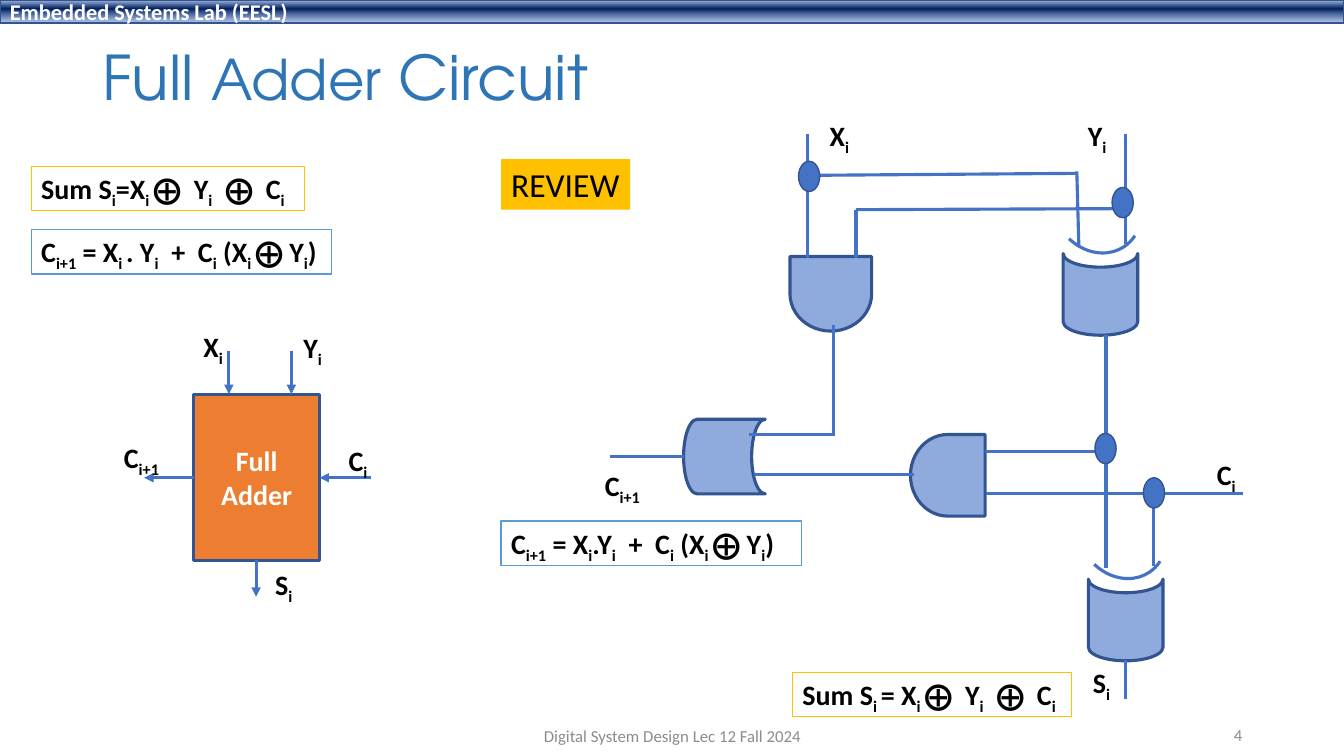
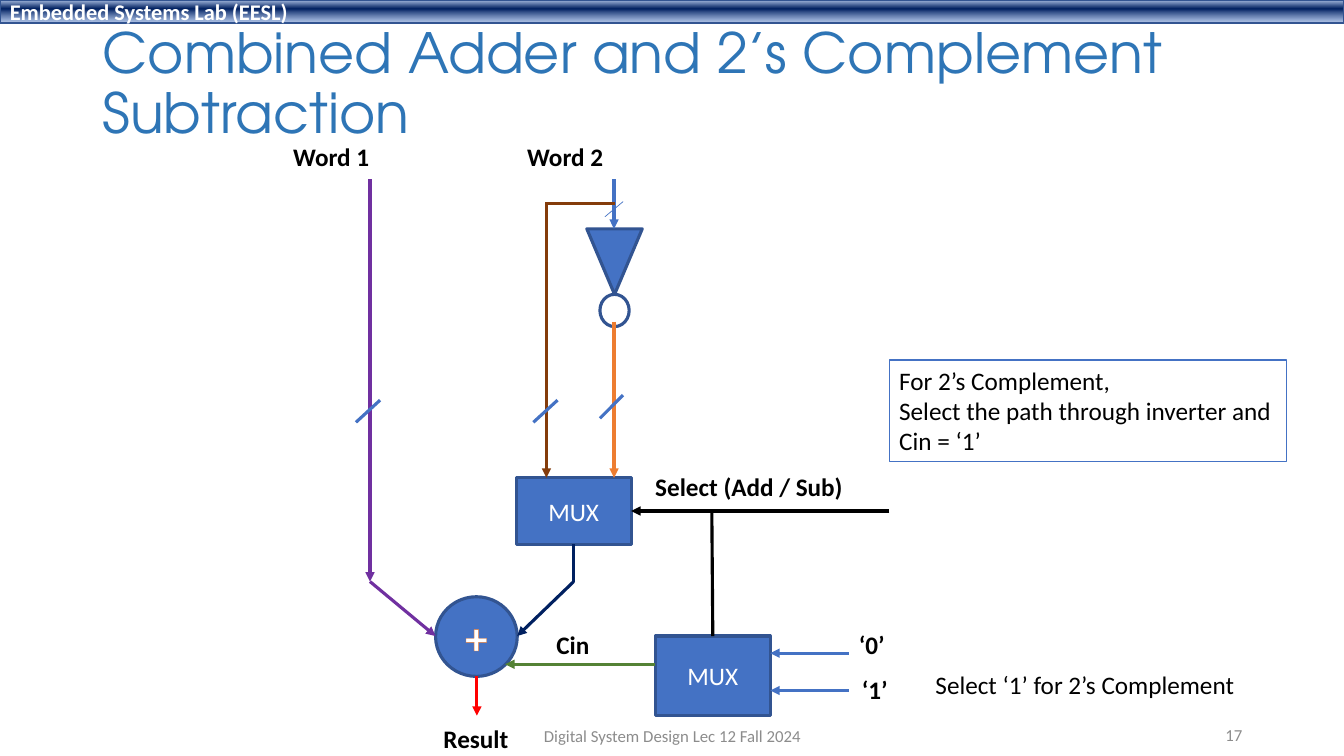
from dataclasses import dataclass
from typing import NamedTuple

import lxml.etree
import pptx
import pptx.dml.color
import pptx.enum.shapes
import pptx.enum.text
import pptx.oxml.ns
import pptx.shapes.autoshape
import pptx.shapes.shapetree
import pptx.slide
import pptx.util

EMU_PER_PX = 9144  # 100 px to the inch
SLIDE_WIDTH, SLIDE_HEIGHT = 1333, 750

Shapes = pptx.shapes.shapetree.SlideShapes | pptx.shapes.shapetree.GroupShapes
Shape = pptx.shapes.autoshape.Shape
Preset = pptx.enum.shapes.MSO_SHAPE
Align = pptx.enum.text.PP_ALIGN
Anchor = pptx.enum.text.MSO_ANCHOR
qn = pptx.oxml.ns.qn


@dataclass(frozen=True)
class Theme:
    font: str = "Calibri"
    title_font: str = "TeX Gyre Adventor"
    title: str = "2E75B6"
    black: str = "000000"
    white: str = "FFFFFF"
    grey: str = "8C8C8C"
    blue: str = "4472C4"
    light_blue: str = "5B9BD5"
    gate: str = "8FAADC"
    edge: str = "325491"
    gold: str = "FFC000"
    orange: str = "ED7D31"
    purple: str = "7030A0"
    brown: str = "843C0B"
    navy: str = "002060"
    green: str = "548235"
    red: str = "FF0000"
    band_stops: tuple = ((2, "ABC0E4", 100), (38, "002060", 100), (93, "7E9ED6", 64))
    title_size: float = 44
    title_small: float = 40
    title_long: float = 39.6
    plus_size: float = 32
    review_size: float = 24
    formula_size: float = 20
    body_size: float = 18
    band_size: float = 16
    footer_size: float = 12
    wide_gap: float = 4.5
    thick: float = 2.25
    thin: float = 1
    hairline: float = 0.5


THEME = Theme()


class Style(NamedTuple):
    size: float
    colour: str = THEME.black
    bold: bool = False
    align: Align = Align.LEFT
    font: str = THEME.font


FORMULA = Style(THEME.formula_size, bold=True)
BODY = Style(THEME.body_size)
LABEL = Style(THEME.body_size, bold=True)
BLOCK = Style(THEME.body_size, THEME.white, align=Align.CENTER)


class Box(NamedTuple):
    left: int
    top: int
    width: int
    height: int


class Label(NamedTuple):
    text: str
    box: Box


class Wire(NamedTuple):
    x1: int
    y1: int
    x2: int
    y2: int
    colour: str = THEME.blue
    arrow: bool = False
    weight: float = THEME.thick


def px(length: int) -> int:
    return pptx.util.Emu(length * EMU_PER_PX)


def rgb(colour: str) -> pptx.dml.color.RGBColor:
    return pptx.dml.color.RGBColor.from_string(colour)


def write(shape: Shape, text: str, style: Style, middle: bool = False,
          wrap: bool = True, grow: bool = False) -> None:
    """Fill a shape with text; _x_ is a subscript and ~ a widened space."""
    frame = shape.text_frame
    frame.word_wrap = wrap
    frame.vertical_anchor = Anchor.MIDDLE if middle else Anchor.TOP
    if grow:
        frame.auto_size = pptx.enum.text.MSO_AUTO_SIZE.SHAPE_TO_FIT_TEXT
    for index, line in enumerate(text.split("\n")):
        paragraph = frame.add_paragraph() if index else frame.paragraphs[0]
        paragraph.alignment = style.align
        font = paragraph.font
        font.name, font.size, font.bold = style.font, pptx.util.Pt(style.size), style.bold
        font.color.rgb = rgb(style.colour)
        for part_index, part in enumerate(line.split("_")):
            for piece in filter(None, part.replace("~", "|~|").split("|")):
                run = paragraph.add_run()
                run.text = piece.replace("~", " ")
                if part_index % 2:
                    run.font._element.set("baseline", "-25000")
                if piece == "~":
                    run.font._element.set("spc", str(int(THEME.wide_gap * 100)))


def add_preset(shapes: Shapes, preset: Preset, box: Box, fill: str | None = None,
               line: str | None = THEME.edge, weight: float = THEME.thick,
               rotation: float = 0) -> Shape:
    shape = shapes.add_shape(preset, *map(px, box))
    shape.shadow.inherit = False
    shape.rotation = rotation
    if fill:
        shape.fill.solid()
        shape.fill.fore_color.rgb = rgb(fill)
    else:
        shape.fill.background()
    if line:
        shape.line.color.rgb = rgb(line)
        shape.line.width = pptx.util.Pt(weight)
    else:
        shape.line.fill.background()
    return shape


def add_text(shapes: Shapes, label: Label, style: Style, middle: bool = False,
             wrap: bool = False, grow: bool = True) -> None:
    write(shapes.add_textbox(*map(px, label.box)), label.text, style, middle, wrap, grow)


def add_framed_text(shapes: Shapes, label: Label, style: Style, line: str) -> None:
    shape = add_preset(shapes, Preset.RECTANGLE, label.box, THEME.white, line, THEME.thin)
    write(shape, label.text, style, wrap=False, grow=True)


def add_block(shapes: Shapes, label: Label, style: Style = BLOCK, fill: str = THEME.blue,
              preset: Preset = Preset.RECTANGLE) -> Shape:
    shape = add_preset(shapes, preset, label.box, fill)
    write(shape, label.text, style, middle=True)
    return shape


def add_wire(shapes: Shapes, wire: Wire) -> None:
    connector = shapes.add_connector(
        pptx.enum.shapes.MSO_CONNECTOR.STRAIGHT, *map(px, wire[:4]))
    connector.line.color.rgb = rgb(wire.colour)
    connector.line.width = pptx.util.Pt(wire.weight)
    properties = connector._element.spPr
    lxml.etree.SubElement(properties, qn("a:effectLst"))
    if wire.arrow:
        lxml.etree.SubElement(properties.find(qn("a:ln")), qn("a:tailEnd"), type="triangle")


def add_xor_gate(shapes: Shapes, left: int, top: int) -> None:
    """Draw a gate that points down, with the second input curve above it."""
    add_preset(shapes, Preset.FLOWCHART_STORED_DATA, Box(left, top, 81, 74),
               THEME.gate, rotation=270)
    arc = add_preset(shapes, Preset.ARC, Box(left - 6, top - 101, 85, 99),
                     line=THEME.blue, rotation=146.4)
    arc.adjustments[0], arc.adjustments[1] = 151.27, 205.69


def add_band(shapes: Shapes) -> None:
    band = add_preset(shapes, Preset.RECTANGLE, Box(0, 0, SLIDE_WIDTH, 23), weight=THEME.thin)
    band.fill.gradient()
    gradient = band._element.spPr.find(qn("a:gradFill"))
    stops = gradient.find(qn("a:gsLst"))
    for stop in list(stops):
        stops.remove(stop)
    for position, colour, alpha in THEME.band_stops:
        stop = lxml.etree.SubElement(stops, qn("a:gs"), pos=str(position * 1000))
        value = lxml.etree.SubElement(stop, qn("a:srgbClr"), val=colour)
        if alpha < 100:
            lxml.etree.SubElement(value, qn("a:alpha"), val=str(alpha * 1000))
    gradient.find(qn("a:lin")).set("ang", str(90 * 60000))
    write(band, "Embedded Systems Lab (EESL)",
          Style(THEME.band_size, THEME.white, True), middle=True)


def start_slide(presentation: pptx.presentation.Presentation, number: int,
                title_runs: dict[str, float], title_height: int) -> pptx.slide.Slide:
    """Add a blank slide with the band, footers and a title given as text and size."""
    slide = presentation.slides.add_slide(presentation.slide_layouts[6])
    add_band(slide.shapes)
    title = slide.shapes.add_textbox(*map(px, Box(92, 40, 1150, title_height)))
    write(title, "", Style(THEME.title_size, THEME.title, font=THEME.title_font), middle=True)
    paragraph = title.text_frame.paragraphs[0]
    paragraph.line_spacing = 0.9
    for text, size in title_runs.items():
        run = paragraph.add_run()
        run.text, run.font.size = text, pptx.util.Pt(size)
    for label, align in (
        (Label("Digital System Design Lec 12 Fall 2024", Box(442, 710, 450, 40)), Align.CENTER),
        (Label(str(number), Box(942, 709, 300, 40)), Align.RIGHT),
    ):
        add_text(slide.shapes, label, Style(THEME.footer_size, THEME.grey, align=align),
                 middle=True, wrap=True, grow=False)
    return slide


def draw_adder_gates(shapes: Shapes) -> None:
    for preset, box, rotation in (
        (Preset.FLOWCHART_DELAY, Box(787, 251, 74, 81), 90),
        (Preset.FLOWCHART_STORED_DATA, Box(678, 416, 81, 74), 0),
        (Preset.FLOWCHART_DELAY, Box(903, 431, 74, 81), 180),
    ):
        add_preset(shapes, preset, box, THEME.gate, rotation=rotation)
    for left, top in ((1051, 255), (1076, 578)):
        add_xor_gate(shapes, left, top)
    for wire in (
        Wire(801, 256, 801, 133), Wire(849, 256, 849, 208),
        Wire(1070, 244, 1068, 170), Wire(1116, 242, 1116, 133),
        Wire(1097, 564, 1097, 332), Wire(1144, 562, 1144, 490),
        Wire(977, 448, 1097, 448), Wire(978, 490, 1233, 490),
        Wire(748, 471, 907, 471), Wire(743, 431, 828, 431),
        Wire(827, 431, 827, 322), Wire(849, 208, 1117, 207),
        Wire(800, 174, 1069, 172), Wire(678, 453, 605, 453),
        Wire(1116, 655, 1116, 693),
    ):
        add_wire(shapes, wire)
    for left, top in ((1086, 430), (792, 160), (1103, 186), (1134, 474)):
        add_preset(shapes, Preset.OVAL, Box(left, top, 21, 30), THEME.blue, weight=THEME.thin)
    for label in (
        Label("C_i+1_", Box(590, 460, 58, 44)), Label("X_i_", Box(813, 113, 40, 44)),
        Label("Y_i_", Box(1069, 113, 39, 44)), Label("C_i_", Box(1197, 449, 40, 44)),
        Label("S_i_", Box(1074, 655, 38, 44)),
    ):
        add_text(shapes, label, FORMULA)


def draw_adder_block(shapes: Shapes) -> None:
    add_block(shapes, Label("Full\nAdder", Box(192, 391, 125, 165)),
              Style(THEME.formula_size, THEME.white, True, Align.CENTER), THEME.orange)
    for ends in ((227, 348, 227, 391), (289, 348, 289, 391), (368, 474, 317, 474),
                 (254, 556, 254, 592), (192, 474, 143, 474)):
        add_wire(shapes, Wire(*ends, arrow=True))
    for label in (
        Label("X_i_", Box(192, 322, 40, 44)), Label("Y_i_", Box(291, 323, 39, 44)),
        Label("C_i_", Box(336, 435, 40, 44)), Label("S_i_", Box(263, 558, 38, 44)),
        Label("C_i+1_", Box(113, 432, 58, 44)),
    ):
        add_text(shapes, label, FORMULA)


def build_full_adder(presentation: pptx.presentation.Presentation) -> None:
    title_runs = {"Full ": THEME.title_size, "Adder": THEME.title_small,
                  " Circuit": THEME.title_size}
    slide = start_slide(presentation, 4, title_runs, 80)
    draw_adder_gates(slide.shapes.add_group_shape().shapes)
    draw_adder_block(slide.shapes.add_group_shape().shapes)
    for label, line in (
        (Label("Sum S_i_=X_i _⨁~Y_i_~⨁~C_i_", Box(31, 165, 271, 44)), THEME.gold),
        (Label("C_i+1_ = X_i _. Y_i_~+~C_i_ (X_i _⨁ Y_i_)", Box(31, 228, 298, 44)),
         THEME.light_blue),
        (Label("Sum S_i _= X_i _⨁~Y_i_~⨁~C_i_", Box(786, 667, 277, 44)), THEME.gold),
        (Label("C_i+1_ = X_i_.Y_i_~+~C_i_ (X_i _⨁ Y_i_)", Box(497, 517, 298, 44)),
         THEME.light_blue),
    ):
        add_framed_text(slide.shapes, label, FORMULA, line)
    review = add_preset(slide.shapes, Preset.RECTANGLE, Box(497, 158, 128, 50), THEME.gold, None)
    write(review, "REVIEW", Style(THEME.review_size), grow=True)


def draw_subtractor(shapes: Shapes) -> None:
    for box in (Box(512, 474, 114, 66), Box(650, 631, 114, 79)):
        add_block(shapes, Label("MUX", box))
    add_preset(shapes, Preset.ISOSCELES_TRIANGLE, Box(582, 227, 55, 65), THEME.blue, rotation=180)
    add_preset(shapes, Preset.OVAL, Box(595, 292, 29, 32))
    adder = add_block(shapes, Label("+", Box(432, 592, 81, 79)),
                      Style(THEME.plus_size, THEME.white, True, Align.CENTER),
                      preset=Preset.OVAL)
    outline = lxml.etree.SubElement(
        adder.text_frame.paragraphs[0].runs[0].font._element, qn("a:ln"), w="6600")
    fill = lxml.etree.SubElement(outline, qn("a:solidFill"))
    lxml.etree.SubElement(fill, qn("a:srgbClr"), val=THEME.orange)
    for wire in (
        Wire(367, 178, 367, 577, THEME.purple, True), Wire(367, 577, 432, 631, THEME.purple, True),
        Wire(542, 202, 542, 474, THEME.brown, True), Wire(609, 319, 609, 474, THEME.orange, True),
        Wire(609, 178, 609, 227, arrow=True), Wire(541, 202, 610, 202, THEME.brown),
        Wire(569, 540, 569, 577, THEME.navy), Wire(569, 577, 513, 631, THEME.navy, True),
        Wire(650, 659, 501, 659, THEME.green, True), Wire(882, 507, 626, 507, THEME.black, True),
        Wire(707, 631, 706, 507, THEME.black), Wire(842, 648, 764, 648, arrow=True),
        Wire(842, 685, 764, 685, arrow=True), Wire(473, 671, 473, 710, THEME.red, True),
        Wire(377, 397, 353, 419), Wire(553, 397, 529, 419), Wire(618, 392, 595, 415),
        Wire(600, 215, 618, 200, weight=THEME.hairline),
    ):
        add_wire(shapes, wire)
    for label in (
        Label("‘0’", Box(842, 619, 46, 40)), Label("‘1’", Box(845, 664, 46, 40)),
        Label("Select (Add / Sub)", Box(640, 463, 208, 40)),
        Label("Result", Box(430, 713, 85, 37)), Label("Cin", Box(542, 619, 53, 40)),
        Label("Word 1", Box(281, 135, 96, 40)), Label("Word 2", Box(513, 135, 96, 40)),
    ):
        add_text(shapes, label, LABEL)


def build_subtraction(presentation: pptx.presentation.Presentation) -> None:
    title = "Combined Adder and 2’s Complement Subtraction"
    slide = start_slide(presentation, 17, {title: THEME.title_long}, 90)
    draw_subtractor(slide.shapes.add_group_shape().shapes)
    note = "For 2’s Complement,\nSelect the path through inverter and\nCin = ‘1’"
    add_framed_text(slide.shapes, Label(note, Box(882, 357, 394, 101)), BODY, THEME.blue)
    add_text(slide.shapes, Label("Select ‘1’ for 2’s Complement", Box(918, 659, 320, 40)), BODY)


def main() -> None:
    presentation = pptx.Presentation()
    presentation.slide_width, presentation.slide_height = px(SLIDE_WIDTH), px(SLIDE_HEIGHT)
    build_full_adder(presentation)
    build_subtraction(presentation)
    presentation.save("out.pptx")


if __name__ == "__main__":
    main()
